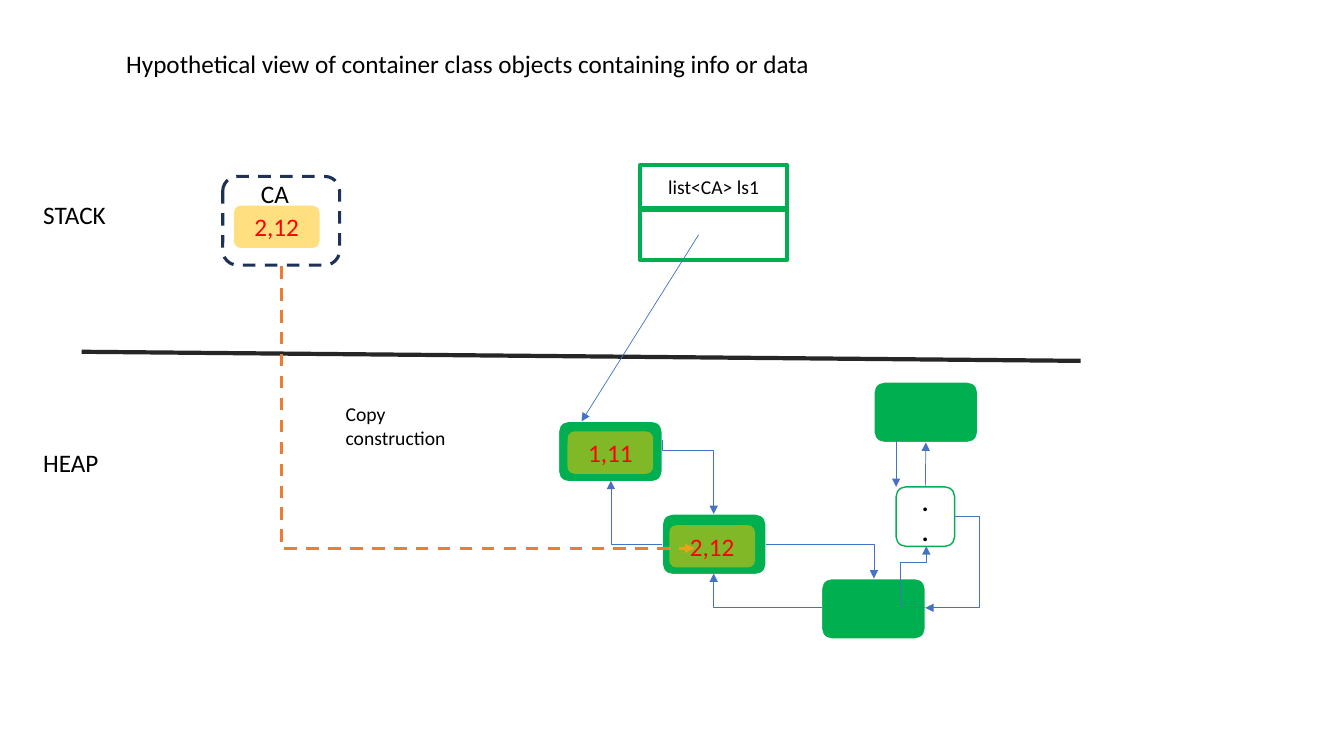
from dataclasses import dataclass

from lxml import etree
from pptx import Presentation
from pptx import util as u
from pptx.dml.color import RGBColor
from pptx.enum import dml, shapes, text
from pptx.oxml.ns import qn

CELL = 0.1  # inches per grid column and row
COLUMNS, ROWS = 133.33, 75
FONT = "Calibri"
BLACK, WHITE, RED = "000000", "FFFFFF", "FF0000"
GREEN, BLUE, ORANGE, AMBER, NAVY, CHARCOAL = (
    "00B050", "4472C4", "ED7D31", "FFC000", "1E3256", "262626")
ROUNDED = shapes.MSO_SHAPE.ROUNDED_RECTANGLE
RECTANGLE = shapes.MSO_SHAPE.RECTANGLE
NODE_SIZE = (10.3, 6)
CHIP_SIZE = (8.5, 4.2)


@dataclass
class Label:
    words: str
    column: float
    row: float
    width: float
    height: float = 4
    size: float = 18
    align: text.PP_ALIGN = text.PP_ALIGN.LEFT


@dataclass
class Box:
    column: float
    row: float
    width: float
    height: float
    fill: str | None = None
    line: str | None = None
    weight: float = 1
    kind: shapes.MSO_SHAPE = ROUNDED
    words: str = ""
    size: float = 18
    color: str = BLACK
    bold: bool = False
    dashed: bool = False
    opacity: int = 100


@dataclass
class Link:
    """Line between two grid points; bends is 0 for straight, else the bentConnector number."""
    begin: tuple[float, float]
    end: tuple[float, float]
    bends: int = 0
    rotation: int = 0
    adjustments: tuple[float, ...] = ()
    color: str = BLUE
    weight: float = 0.5
    dashed: bool = False
    arrow: bool = True


def node(column: float, row: float) -> Box:
    return Box(column, row, *NODE_SIZE, GREEN, WHITE)


def chip(words: str, column: float, row: float) -> Box:
    return Box(column, row, *CHIP_SIZE, AMBER, words=words, color=RED, opacity=50)


LABELS = [
    Label("STACK", 3.3, 19.3, 14),
    Label("HEAP", 3.3, 43.9, 9.6, 4.2),
    Label("Hypothetical view of container class objects containing info or data",
          3.3, 4.3, 86.2, align=text.PP_ALIGN.CENTER),
    Label("CA", 24.9, 17.2, 5.9),
    Label("Copy construction", 33.3, 39.4, 15.9, 5.7, 14),
]
DIVIDER = Link((8.1, 34.9), (107.2, 35.8), color=CHARCOAL, weight=3, arrow=False)
LAST_NODE = node(86.7, 37.9)
ELLIPSIS = Box(88.9, 48.3, 5.8, 5.9, WHITE, GREEN, words=".\n.", bold=True)
STRUCTURE = [
    node(65.7, 51), node(55.4, 41.8), node(81.5, 57.4),
    Box(63.5, 16.4, 14.6, 4.2, WHITE, GREEN, 3, RECTANGLE, "list<CA> ls1", 14),
    Box(63.5, 20.8, 14.6, 5, WHITE, GREEN, 3, RECTANGLE),
]
LINKS = [
    Link((69.3, 23.3), (57.7, 41.8)),
    Link((65.7, 43.7), (70.8, 51), 3, 270, (0.135,)),
    Link((65.7, 54), (60.6, 47.7), 2, 180),
    Link((76, 54), (86.7, 57.4), 2),
    Link((81.5, 60.3), (70.8, 56.9), 2, 180),
    Link((88.9, 43.7), (88.9, 48.3)),
    Link((91.8, 60.3), (91.9, 54.2), 4, 0, (-25, 0.74)),
    Link((94.7, 51.2), (91.8, 60.3), 3, 0, (-0.86,)),
]
DATA = [
    chip("2,12", 23.2, 20.4),
    Box(22.1, 17.5, 11.6, 8.8, line=NAVY, weight=2.25, dashed=True),
    chip("1,11", 56.3, 42.8),
]
COPY_LINK = Link((27.9, 26.4), (68.9, 54.4), 2, 270, color=ORANGE, weight=2.25, dashed=True)
COPIED_DATA = chip("2,12", 66.4, 52.1)


def cells(*lengths: float) -> list[int]:
    return [u.Inches(length * CELL) for length in lengths]


def rgb(color: str) -> RGBColor:
    return RGBColor.from_string(color)


def write(frame, words: str, size: float, color: str, align, bold: bool = False) -> None:
    frame.word_wrap = True
    frame.text = words
    for paragraph in frame.paragraphs:
        paragraph.alignment = align
        for run in paragraph.runs:
            run.font.name = FONT
            run.font.size = u.Pt(size)
            run.font.bold = bold
            run.font.color.rgb = rgb(color)


def set_line(line, color: str, weight: float, dashed: bool) -> None:
    line.color.rgb = rgb(color)
    line.width = u.Pt(weight)
    if dashed:
        line.dash_style = dml.MSO_LINE.DASH


def add_label(slide, label: Label) -> None:
    shape = slide.shapes.add_textbox(
        *cells(label.column, label.row, label.width, label.height))
    write(shape.text_frame, label.words, label.size, BLACK, label.align)


def add_box(slide, box: Box):
    shape = slide.shapes.add_shape(
        box.kind, *cells(box.column, box.row, box.width, box.height))
    shape.shadow.inherit = False
    if box.fill:
        shape.fill.solid()
        shape.fill.fore_color.rgb = rgb(box.fill)
        if box.opacity < 100:
            color = shape.fill._xPr.find(".//" + qn("a:srgbClr"))
            etree.SubElement(color, qn("a:alpha")).set("val", str(box.opacity * 1000))
    else:
        shape.fill.background()
    if box.line:
        set_line(shape.line, box.line, box.weight, box.dashed)
    else:
        shape.line.fill.background()
    if box.words:
        shape.text_frame.vertical_anchor = text.MSO_ANCHOR.MIDDLE
        write(shape.text_frame, box.words, box.size, box.color,
              text.PP_ALIGN.CENTER, box.bold)
    return shape


def add_link(slide, link: Link):
    """Turn the span back by the rotation, so that the rotated connector meets both points."""
    (x1, y1), (x2, y2) = link.begin, link.end
    middle_x, middle_y = (x1 + x2) / 2, (y1 + y2) / 2
    half_x, half_y = (x2 - x1) / 2, (y2 - y1) / 2
    for _ in range((360 - link.rotation) % 360 // 90):
        half_x, half_y = -half_y, half_x
    kind = shapes.MSO_CONNECTOR.ELBOW if link.bends else shapes.MSO_CONNECTOR.STRAIGHT
    connector = slide.shapes.add_connector(kind, *cells(
        middle_x - half_x, middle_y - half_y, middle_x + half_x, middle_y + half_y))
    set_line(connector.line, link.color, link.weight, link.dashed)
    properties = connector._element.spPr
    if link.bends:
        properties.find(qn("a:xfrm")).set("rot", str(link.rotation * 60000))
        geometry = properties.find(qn("a:prstGeom"))
        geometry.set("prst", f"bentConnector{link.bends}")
        for number, share in enumerate(link.adjustments, 1):
            guide = etree.SubElement(geometry.find(qn("a:avLst")), qn("a:gd"))
            guide.set("name", f"adj{number}")
            guide.set("fmla", f"val {round(share * 100000)}")
    if link.arrow:
        etree.SubElement(properties.find(qn("a:ln")), qn("a:tailEnd")).set("type", "triangle")
    etree.SubElement(properties, qn("a:effectLst"))
    return connector


def main() -> None:
    presentation = Presentation()
    presentation.slide_width, presentation.slide_height = cells(COLUMNS, ROWS)
    slide = presentation.slides.add_slide(presentation.slide_layouts[6])
    add_link(slide, DIVIDER)
    for box in STRUCTURE:
        add_box(slide, box)
    last_node, ellipsis = add_box(slide, LAST_NODE), add_box(slide, ELLIPSIS)
    for link in LINKS:
        add_link(slide, link)
    upward = add_link(slide, Link((91.8, 48.3), (91.8, 43.9)))
    upward.begin_connect(ellipsis, 0)
    upward.end_connect(last_node, 2)
    for box in DATA:
        add_box(slide, box)
    for label in LABELS:
        add_label(slide, label)
    add_link(slide, COPY_LINK)
    add_box(slide, COPIED_DATA)
    presentation.save("out.pptx")


if __name__ == "__main__":
    main()
